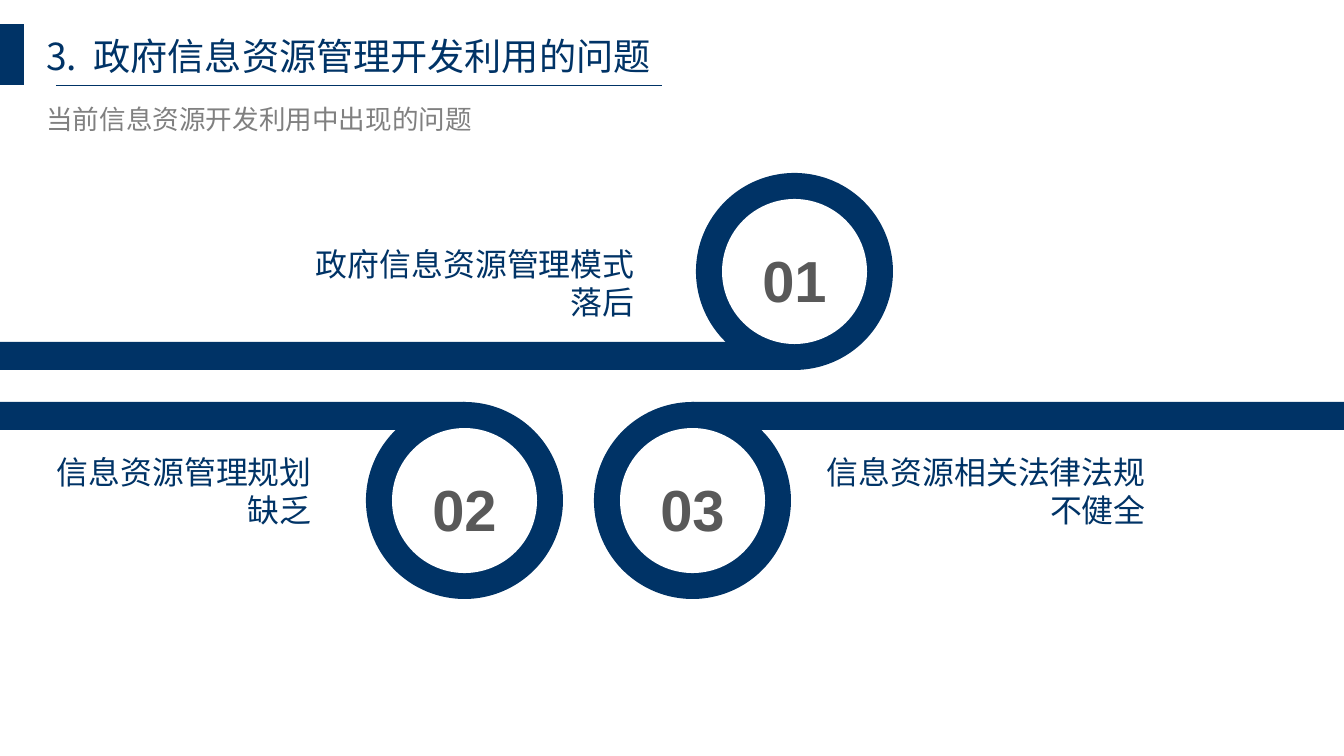
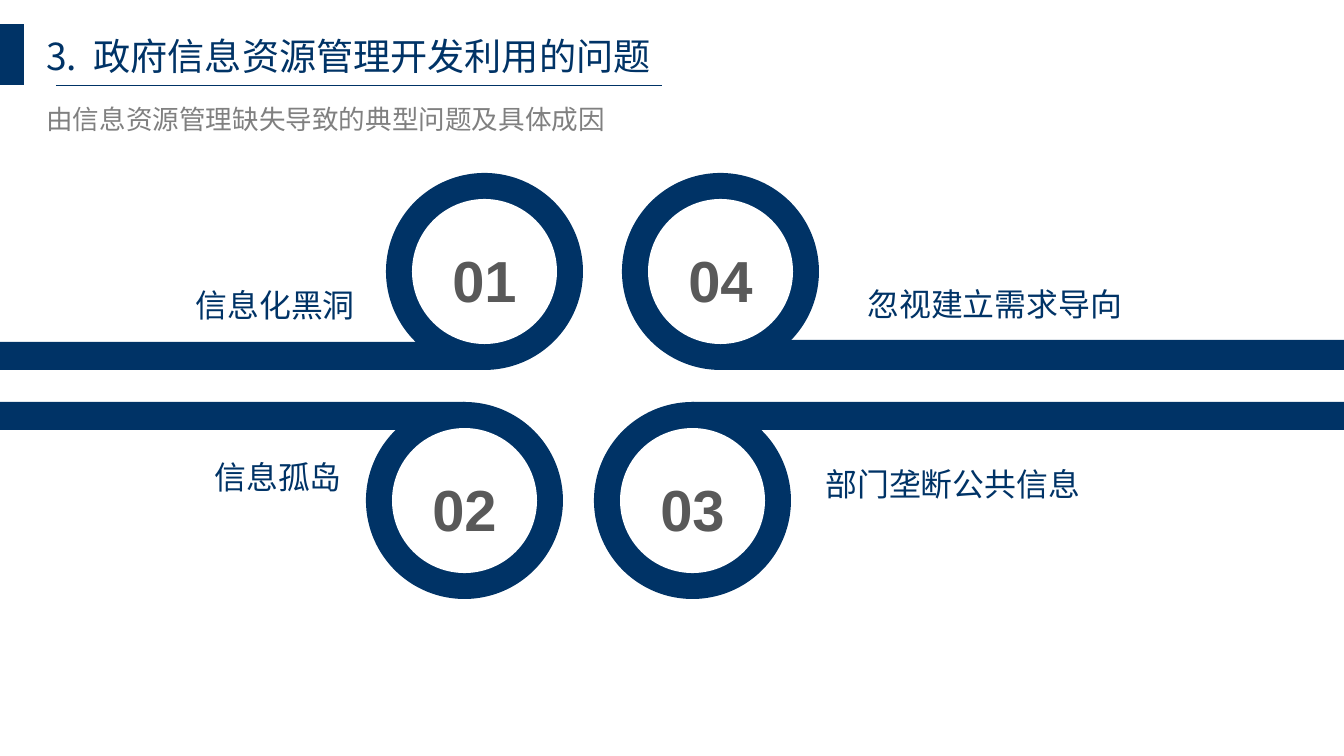
from lxml import etree
from pptx import Presentation
from pptx.dml.color import RGBColor
from pptx.enum import shapes, text
from pptx.oxml import ns
from pptx import util as u

# Content: rings are (number, ring left, row, side the band runs to, band height),
# labels are (lines, left, top, width)
TITLE_NUMBER, TITLE = "3.", "政府信息资源管理开发利用的问题"
SLIDES = [
    {
        "subtitle": "当前信息资源开发利用中出现的问题",
        "rings": [
            ("02", 366, "lower", "left", 28),
            ("01", 696, "upper", "left", 28),
            ("03", 594, "lower", "right", 28),
        ],
        "labels": [
            (["政府信息资源管理模式", "落后"], 303, 240, 341),
            (["信息资源管理规划", "缺乏"], 45, 448, 276),
            (["信息资源相关法律法规", "不健全"], 816, 448, 339),
        ],
    },
    {
        "subtitle": "由信息资源管理缺失导致的典型问题及具体成因",
        "rings": [
            ("02", 366, "lower", "left", 28),
            ("01", 386, "upper", "left", 28),
            ("03", 594, "lower", "right", 28),
            ("04", 622, "upper", "right", 30),
        ],
        "labels": [
            (["信息化黑洞"], 186, 281, 226),
            (["信息孤岛"], 205, 453, 148),
            (["部门垄断公共信息"], 816, 460, 276),
            (["忽视建立需求导向"], 858, 280, 276),
        ],
    },
]

NAVY = RGBColor(0x00, 0x33, 0x66)
WHITE = RGBColor(0xFF, 0xFF, 0xFF)
GRAY = RGBColor(0x80, 0x80, 0x80)
DARK_GRAY = RGBColor(0x59, 0x59, 0x59)
HAN_FONT, NUMBER_FONT = "Noto Sans CJK SC", "Arial"

EMU_PER_PIXEL = 914400 / 95.6
WIDTH, HEIGHT = 1344, 756
RING, HOLE = 197, 145
ROW_TOPS = {"upper": 173, "lower": 402}
HEADING_LEFT, HEADING_WIDTH = 37, 660


def px(pixels):
    """Turn pixels into EMU."""
    return u.Emu(round(pixels * EMU_PER_PIXEL))


def format_run(run, size, color, font=HAN_FONT, bold=False):
    """Set size, colour and font, also for Chinese characters."""
    run.font.size = u.Pt(size)
    run.font.bold = bold
    run.font.color.rgb = color
    run.font.name = font
    etree.SubElement(run._r.get_or_add_rPr(), ns.qn("a:ea"), typeface=font)


def add_plain_shape(slide, kind, left, top, width, height, color):
    """Add a filled shape with neither outline nor shadow."""
    shape = slide.shapes.add_shape(kind, px(left), px(top), px(width), px(height))
    shape.shadow.inherit = False
    shape.fill.solid()
    shape.fill.fore_color.rgb = color
    shape.line.fill.background()
    return shape


def add_text(slide, lines, left, top, width, height, size, color):
    """Add a text box; several lines are set flush right."""
    box = slide.shapes.add_textbox(px(left), px(top), px(width), px(height))
    frame = box.text_frame
    frame.word_wrap = True
    frame.text = "\n".join(lines)
    for paragraph in frame.paragraphs:
        if len(lines) > 1:
            paragraph.alignment = text.PP_ALIGN.RIGHT
        for run in paragraph.runs:
            format_run(run, size, color)
    return frame


def add_heading(slide, subtitle):
    """Add the side block, title, rule and subtitle."""
    add_plain_shape(slide, shapes.MSO_SHAPE.RECTANGLE, 0, 24, 24, 61, NAVY)
    frame = add_text(slide, [TITLE_NUMBER], HEADING_LEFT, 29, HEADING_WIDTH, 54, 28, NAVY)
    for part in (" ", TITLE):
        run = frame.paragraphs[0].add_run()
        run.text = part
        format_run(run, 28, NAVY)
    gap = frame.paragraphs[0].runs[1]
    gap._r.get_or_add_rPr().set("spc", "600")  # widens the gap after the number

    rule = slide.shapes.add_connector(
        shapes.MSO_CONNECTOR.STRAIGHT, px(56), px(85), px(662), px(85))
    rule.line.color.rgb = NAVY
    rule.line.width = u.Pt(0.5)
    etree.SubElement(rule._element.spPr, ns.qn("a:effectLst"))
    add_text(slide, [subtitle], HEADING_LEFT, 98, HEADING_WIDTH, 42, 20, GRAY)


def add_ring(slide, number, left, row, side, band_height):
    """Add a numbered ring and the band from its centre to the slide edge."""
    top = ROW_TOPS[row]
    center = left + RING / 2
    band_top = top if row == "lower" else top + RING - band_height
    band_left, band_right = (0, center) if side == "left" else (center, WIDTH)
    add_plain_shape(slide, shapes.MSO_SHAPE.RECTANGLE, band_left, band_top,
                    band_right - band_left, band_height, NAVY)

    oval = shapes.MSO_SHAPE.OVAL
    inset = (RING - HOLE) / 2
    add_plain_shape(slide, oval, left, top, RING, RING, NAVY)
    hole = add_plain_shape(slide, oval, left + inset, top + inset, HOLE, HOLE, WHITE)
    frame = hole.text_frame
    frame.text = number
    frame.margin_top = px(6)
    frame.vertical_anchor = text.MSO_ANCHOR.MIDDLE
    paragraph = frame.paragraphs[0]
    paragraph.alignment = text.PP_ALIGN.CENTER
    paragraph.line_spacing = 1.2
    format_run(paragraph.runs[0], 43.6, DARK_GRAY, NUMBER_FONT, bold=True)


def build():
    """Build and save the presentation."""
    presentation = Presentation()
    presentation.slide_width, presentation.slide_height = px(WIDTH), px(HEIGHT)
    for content in SLIDES:
        slide = presentation.slides.add_slide(presentation.slide_layouts[6])
        for ring in content["rings"]:
            add_ring(slide, *ring)
        add_heading(slide, content["subtitle"])
        for lines, left, top, width in content["labels"]:
            add_text(slide, lines, left, top, width, 10 + 38 * len(lines), 24, NAVY)
    presentation.save("out.pptx")


build()
